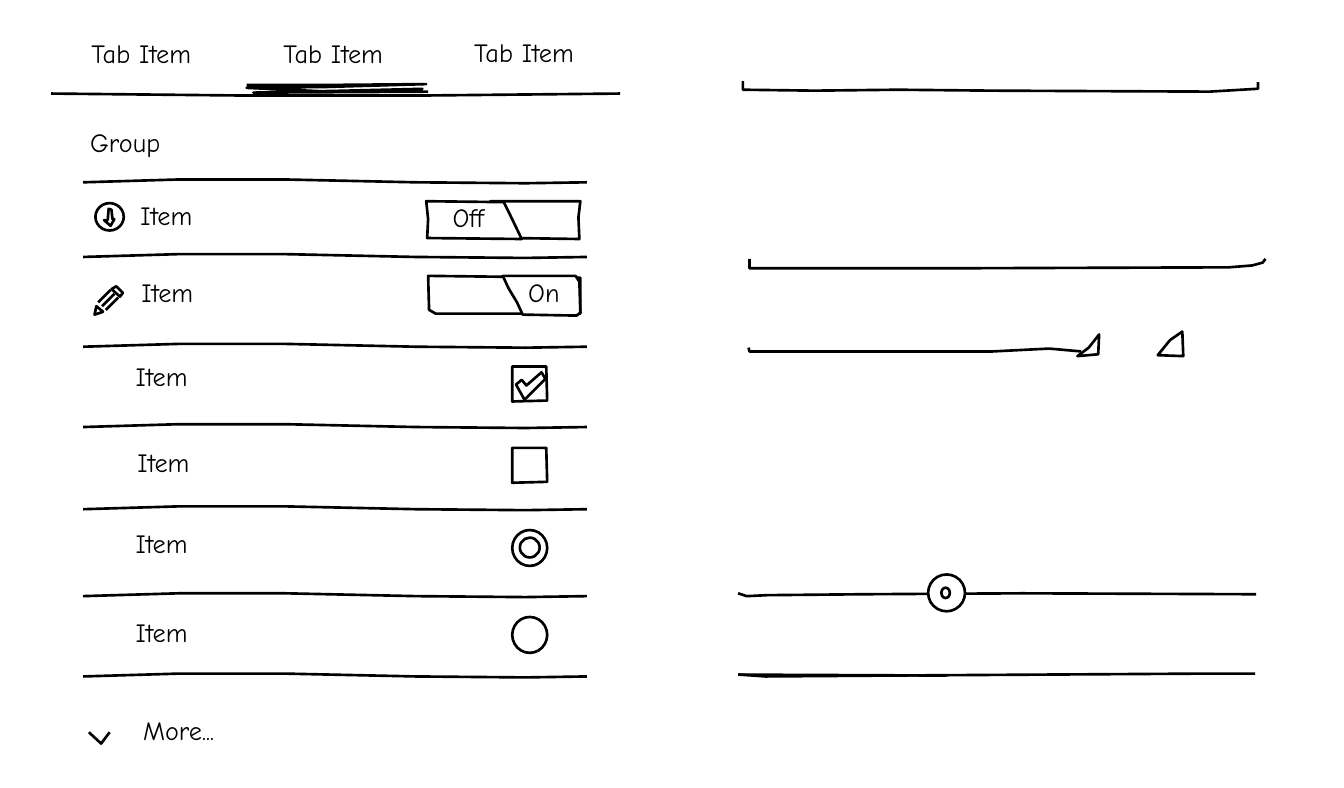
from lxml import etree
from pptx import Presentation
from pptx.dml.color import RGBColor
from pptx.enum.shapes import MSO_CONNECTOR, MSO_SHAPE
from pptx.enum.text import MSO_ANCHOR, PP_ALIGN
from pptx.oxml.ns import qn
from pptx.util import Cm, Pt

STRAIGHT = MSO_CONNECTOR.STRAIGHT
OVAL = MSO_SHAPE.OVAL
MIDDLE = MSO_ANCHOR.MIDDLE
CENTER = PP_ALIGN.CENTER
INCH = 2.54
FONT = "Comic Neue"
COLORS = {"ink": "000000", "paper": "FFFFFF"}
INK = RGBColor.from_string(COLORS["ink"])
PAPER = RGBColor.from_string(COLORS["paper"])

deck = Presentation()
deck.slide_width = Cm(14.22 * INCH)
deck.slide_height = Cm(8.34 * INCH)
slide = deck.slides.add_slide(deck.slide_layouts[6])
shapes = slide.shapes


def finish(shape, fill):
    """Give a shape the ink line, with a paper fill or none."""
    shape.shadow.inherit = False
    shape.line.color.rgb = INK
    shape.line.width = Pt(2)
    if fill:
        shape.fill.solid()
        shape.fill.fore_color.rgb = PAPER
    else:
        shape.fill.background()


def draw(knots, drop=0, fill=False):
    """Join points in inches, moved down by drop; close the outline if filled."""
    points = [(Cm(x * INCH), Cm((y + drop) * INCH)) for x, y in knots]
    pen = shapes.build_freeform(*points[0])
    pen.add_line_segments(points[1:], close=fill)
    finish(pen.convert_to_shape(), fill)


# Row rules
rule = [(0.88, 0.03), (1.89, 0), (3.02, 0), (4.4, 0.03), (5.56, 0.04), (6.21, 0.03)]
for top in (1.9, 2.69, 3.64, 4.49, 5.36, 6.28, 7.13):
    draw(rule, top)

# Tab bar, fields, spinner, slider, progress bar and chevron
strokes = (
    [(0.54, 0.99), (2.5, 1.01), (4.54, 1.01), (6.56, 0.99)],
    [(2.61, 0.9), (3.37, 0.9), (4.51, 0.89), (3.46, 0.92), (2.61, 0.93), (3.5, 0.97),
     (4.47, 0.94), (3.63, 0.96), (2.68, 0.98), (4.53, 0.97)],
    [(7.86, 0.86), (7.86, 0.95), (8.62, 0.96), (9.5, 0.95), (10.5, 0.96), (12.8, 0.97),
     (13.31, 0.94), (13.31, 0.87)],
    [(7.93, 2.74), (7.93, 2.84), (9.98, 2.84), (13, 2.83), (13.25, 2.81), (13.36, 2.78),
     (13.39, 2.74)],
    [(7.92, 3.68), (7.93, 3.72), (8.2, 3.72), (10.5, 3.72), (11.1, 3.69), (11.44, 3.72)],
    [(7.81, 6.28), (7.9, 6.31), (8.12, 6.3), (9.14, 6.29), (10.81, 6.28), (13.29, 6.29)],
    [(7.81, 7.14), (8.1, 7.16), (9.53, 7.15), (12.71, 7.13), (13.28, 7.13)],
    [(7.81, 7.14), (10.01, 7.15)],
    [(0.94, 7.75), (1.07, 7.87), (1.16, 7.75)],
)
for knots in strokes:
    draw(knots)

# Pencil shaft
for step in range(3):
    left, top = 1.17 + 0.04 * step, 3.07 + 0.04 * step
    ends = (left, top, left - 0.13, top + 0.13)
    shaft = shapes.add_connector(STRAIGHT, *(Cm(v * INCH) for v in ends))
    shaft.line.color.rgb = INK
    shaft.line.width = Pt(2)
    etree.SubElement(shaft._element.spPr, qn("a:effectLst"))

# Check boxes
box = [(5.42, 0), (5.42, 0.37), (5.79, 0.36), (5.78, 0)]
for top in (3.88, 4.74):
    draw(box, top, fill=True)

# Toggles, tick, pencil ends and spinner corners
outlines = (
    [(5.19, 2.13), (6.14, 2.13), (6.12, 2.3), (6.13, 2.53), (5.42, 2.52)],
    [(4.51, 2.13), (5.33, 2.14), (5.4, 2.28), (5.52, 2.53), (4.52, 2.52), (4.53, 2.32)],
    [(4.53, 2.92), (6.14, 2.94), (6.14, 3.32), (4.61, 3.32), (4.54, 3.28)],
    [(5.32, 2.92), (5.38, 3.05), (5.47, 3.2), (5.53, 3.33), (6.1, 3.34), (6.14, 3.31),
     (6.13, 2.98), (6.09, 2.92)],
    [(5.46, 4.07), (5.52, 4.02), (5.57, 4.08), (5.73, 3.94), (5.77, 4.01), (5.7, 4.08),
     (5.55, 4.23)],
    [(1.02, 3.24), (1, 3.33), (1.09, 3.3)],
    [(1.18, 3.06), (1.23, 3.03), (1.3, 3.1), (1.27, 3.14)],
    [(11.4, 3.77), (11.52, 3.68), (11.63, 3.54), (11.62, 3.75)],
    [(12.51, 3.51), (12.38, 3.6), (12.25, 3.76), (12.52, 3.77)],
)
for knots in outlines:
    draw(knots, fill=True)

# Radio buttons, slider knob and arrow ring
for left, top, width, height in (
        (5.42, 5.61, 0.37, 0.38), (5.5, 5.69, 0.21, 0.21), (5.42, 6.53, 0.37, 0.38),
        (9.82, 6.08, 0.39, 0.39), (9.96, 6.22, 0.09, 0.11), (1.01, 2.15, 0.3, 0.29)):
    place = (Cm(v * INCH) for v in (left, top, width, height))
    finish(shapes.add_shape(OVAL, *place), True)
draw([(1.15, 2.21), (1.14, 2.33), (1.1, 2.33), (1.17, 2.39), (1.21, 2.32),
      (1.19, 2.32), (1.18, 2.22)], fill=True)

# Labels
labels = (
    ("Tab Item", 1.25, ((0.87, 0.35), (2.9, 0.35), (4.92, 0.34))),
    ("Group", 0.91, ((0.87, 1.29),)),
    ("Item", 0.7, ((1.41, 2.07), (1.42, 2.88), (1.36, 3.77),
                   (1.38, 4.68), (1.36, 5.54), (1.36, 6.48))),
    ("More...", 1, ((1.39, 7.52),)),
    ("Off", 0.49, ((4.71, 2.09),)),
    ("On", 0.47, ((5.52, 2.88),)),
)
for text, width, spots in labels:
    for left, top in spots:
        place = (Cm(v * INCH) for v in (left, top, width, 0.42))
        frame = shapes.add_textbox(*place).text_frame
        frame.word_wrap = False
        frame.vertical_anchor = MIDDLE
        frame.margin_left = frame.margin_right = Cm(0.1)
        frame.margin_top = frame.margin_bottom = Cm(0.1)
        frame.text = text
        line = frame.paragraphs[0]
        line.alignment = CENTER
        font = line.runs[0].font
        font.name = FONT
        font.size = Pt(20)
        font.color.rgb = INK

deck.save("out.pptx")
